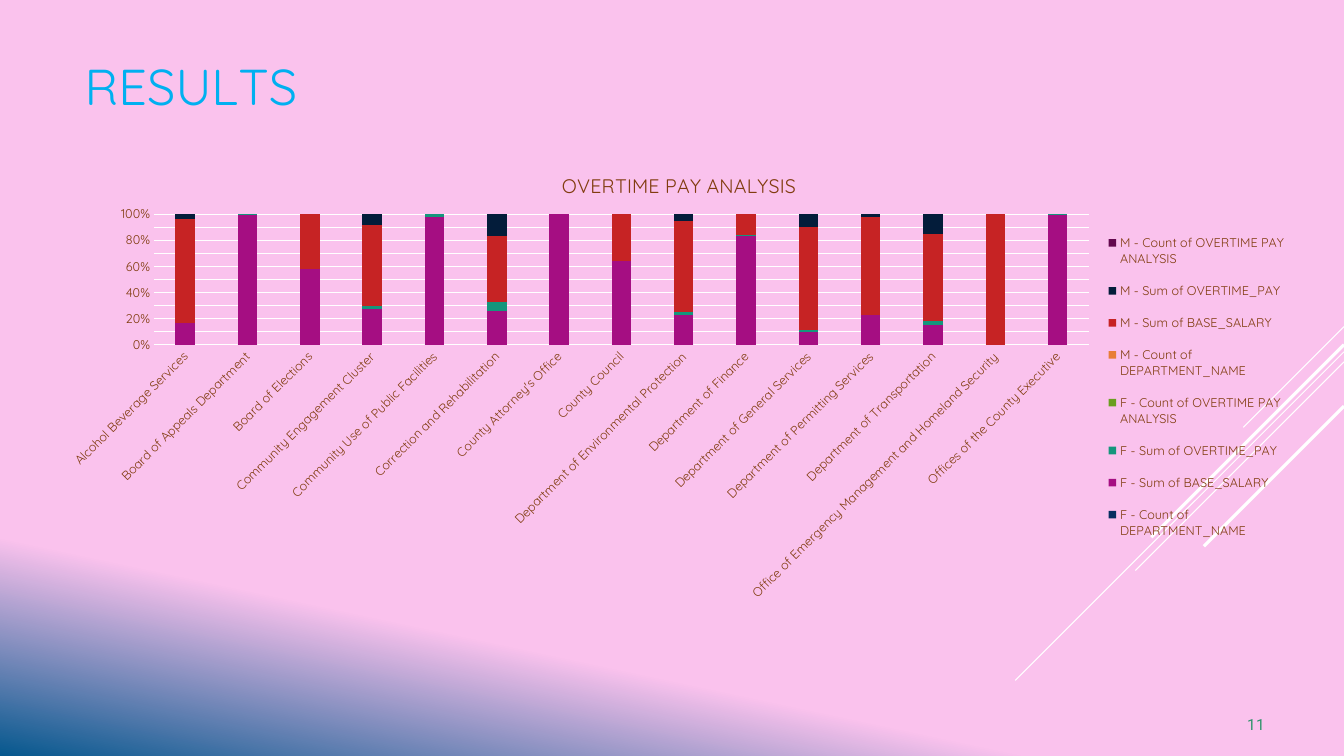
import dataclasses
import typing

import lxml.etree
import pptx
import pptx.chart.data
import pptx.dml.color
import pptx.enum.chart
import pptx.enum.shapes
import pptx.enum.text
import pptx.oxml.ns
import pptx.slide
import pptx.util

Inches = pptx.util.Inches
Pt = pptx.util.Pt
RGBColor = pptx.dml.color.RGBColor
qn = pptx.oxml.ns.qn

WHITE = RGBColor(0xFF, 0xFF, 0xFF)
PINK = RGBColor(0xFA, 0xC2, 0xED)
DEEP_BLUE = RGBColor(0x06, 0x58, 0x8E)
SKY_BLUE = RGBColor(0x00, 0xB0, 0xF0)
SEA_GREEN = RGBColor(0x2D, 0x93, 0x6B)
BROWN = RGBColor(0x81, 0x3C, 0x0F)
SLIDE_WIDTH = 13.33


@dataclasses.dataclass
class Ray:
    """A 45° line running down and left from the right slide edge."""
    top: float
    reach: float
    weight: float


@dataclasses.dataclass
class Label:
    box: tuple[float, float, float, float]
    runs: list[tuple[str, float]]  # text, letter spacing in points
    indent: float
    space_before: float
    anchor: pptx.enum.text.MSO_ANCHOR
    font: dict[str, typing.Any]


@dataclasses.dataclass
class PaySeries:
    name: str
    color: RGBColor
    percents: list[int | None]


RAYS = [
    Ray(3.24, 1.00, 0.75),
    Ray(3.49, 3.26, 0.75),
    Ray(3.59, 2.07, 0.75),
    Ray(3.42, 1.91, 2.25),
    Ray(4.03, 1.39, 2.25),
]

LABELS = [
    Label((0.83, 0.53, 2.67, 0.62),
          [("R", 0), ("E", -0.4), ("S", 0.1), ("U", -0.3), ("L", -4), ("TS", 0)],
          0.01, 1.1, pptx.enum.text.MSO_ANCHOR.MIDDLE,
          {"name": "Quicksand", "size": Pt(36)} | {"color": SKY_BLUE}),
    Label((12.33, 7.08, 0.25, 0.21), [("11", 0.1)],
          0.04, 0.6, pptx.enum.text.MSO_ANCHOR.TOP,
          {"name": "Roboto", "size": Pt(11), "color": SEA_GREEN}),
]

DEPARTMENTS = [
    "Alcohol Beverage Services", "Board of Appeals Department", "Board of Elections",
    "Community Engagement Cluster", "Community Use of Public Facilities",
    "Correction and Rehabilitation", "County Attorney's Office", "County Council",
    "Department of Environmental Protection", "Department of Finance",
    "Department of General Services", "Department of Permitting Services",
    "Department of Transportation",
    "Office of Emergency Management and Homeland Security",
    "Offices of the County Executive",
]

F_COUNTS = [0] * 13 + [None, 0]
M_COUNTS = [0, None, 0, 0, None, 0, None] + [0] * 7 + [None]
PAY_SERIES = [
    PaySeries("F - Count of DEPARTMENT_NAME", RGBColor(0x05, 0x2F, 0x61), F_COUNTS),
    PaySeries("F - Sum of BASE_SALARY", RGBColor(0xA5, 0x0E, 0x82),
              [17, 99, 58, 27, 98, 26, 100, 64, 23, 83, 10, 23, 15, None, 99]),
    PaySeries("F - Sum of OVERTIME_PAY", RGBColor(0x14, 0x96, 0x7C),
              [0, 1, 0, 2, 2, 7, 0, 0, 2, 1, 1, 0, 3, None, 1]),
    PaySeries("F - Count of OVERTIME PAY ANALYSIS", RGBColor(0x6A, 0x9E, 0x1F), F_COUNTS),
    PaySeries("M - Count of DEPARTMENT_NAME", RGBColor(0xE8, 0x7D, 0x37), M_COUNTS),
    PaySeries("M - Sum of BASE_SALARY", RGBColor(0xC6, 0x23, 0x24),
              [79, None, 42, 62, None, 51, None, 36, 70, 16, 80, 76, 67, 100, None]),
    PaySeries("M - Sum of OVERTIME_PAY", RGBColor(0x03, 0x1C, 0x3A),
              [4, None, 0, 8, None, 17, None, 0, 5, 0, 10, 2, 15, 0, None]),
    PaySeries("M - Count of OVERTIME PAY ANALYSIS", RGBColor(0x63, 0x08, 0x4E), M_COUNTS),
]


def set_font(font: typing.Any, values: dict[str, typing.Any]) -> None:
    for attribute, value in values.items():
        if attribute == "color":
            font.color.rgb = value
        else:
            setattr(font, attribute, value)


def set_line(line: typing.Any, weight: float) -> None:
    line.color.rgb = WHITE
    line.width = Pt(weight)


def paint_background(slide: pptx.slide.Slide) -> None:
    fill = slide.background.fill
    fill.gradient()
    fill.gradient_angle = 360 - 102
    for stop, position, color in zip(fill.gradient_stops, (0.79, 1), (PINK, DEEP_BLUE)):
        stop.position = position
        stop.color.rgb = color


def draw_ray(slide: pptx.slide.Slide, ray: Ray) -> None:
    line = slide.shapes.add_connector(
        pptx.enum.shapes.MSO_CONNECTOR.STRAIGHT,
        Inches(SLIDE_WIDTH), Inches(ray.top),
        Inches(SLIDE_WIDTH - ray.reach), Inches(ray.top + ray.reach))
    set_line(line.line, ray.weight)
    lxml.etree.SubElement(line._element.spPr, qn("a:effectLst"))


def draw_label(slide: pptx.slide.Slide, label: Label) -> None:
    frame = slide.shapes.add_textbox(*map(Inches, label.box)).text_frame
    frame_format = {
        "word_wrap": True, "vertical_anchor": label.anchor,
        "auto_size": pptx.enum.text.MSO_AUTO_SIZE.SHAPE_TO_FIT_TEXT,
        "margin_left": 0, "margin_top": Inches(0.01),
        "margin_right": 0, "margin_bottom": 0,
    }
    for attribute, value in frame_format.items():
        setattr(frame, attribute, value)
    paragraph = frame.paragraphs[0]
    paragraph.space_before = Pt(label.space_before)
    paragraph._p.get_or_add_pPr().set("marL", str(Inches(label.indent)))
    for text, spacing in label.runs:
        run = paragraph.add_run()
        run.text = text
        set_font(run.font, label.font)
        run._r.get_or_add_rPr().set("spc", str(round(spacing * 100)))


def place(element: typing.Any, index: int, inner: bool = False, **fractions: float) -> None:
    """Give a chart part a fixed position, in fractions of the chart area."""
    for automatic in element.findall(qn("c:layout")):
        element.remove(automatic)
    layout = lxml.etree.Element(qn("c:layout"))
    manual = lxml.etree.SubElement(layout, qn("c:manualLayout"))
    settings = {"layoutTarget": "inner"} if inner else {}
    settings |= {"xMode": "edge", "yMode": "edge"} | fractions
    for tag, value in settings.items():
        lxml.etree.SubElement(manual, qn(f"c:{tag}")).set("val", str(value))
    element.insert(index, layout)


def draw_pay_chart(slide: pptx.slide.Slide) -> None:
    data = pptx.chart.data.CategoryChartData(number_format="0")
    data.categories = DEPARTMENTS
    for series in PAY_SERIES:
        data.add_series(series.name, series.percents)
    chart = slide.shapes.add_chart(
        pptx.enum.chart.XL_CHART_TYPE.COLUMN_STACKED_100,
        Inches(0.4), Inches(1.43), Inches(12.53), Inches(4.63), data).chart
    small = {"name": "Quicksand", "size": Pt(9), "color": BROWN}
    set_font(chart.font, small)

    chart.has_title = True
    title = chart.chart_title
    title.text_frame.text = "OVERTIME PAY ANALYSIS"
    set_font(title.text_frame.paragraphs[0].runs[0].font,
             small | {"size": Pt(14), "bold": False})
    place(title._element, 1, x=0.41, y=0.05)

    plot = chart.plots[0]
    plot.gap_width, plot.overlap, plot.vary_by_categories = 219, 100, False
    for drawn, series in zip(plot.series, PAY_SERIES):
        drawn.format.fill.solid()
        drawn.format.fill.fore_color.rgb = series.color
    place(chart._chartSpace.chart.plotArea, 0, inner=True, x=0.09, y=0.15, w=0.74, h=0.28)

    for axis in (chart.category_axis, chart.value_axis):
        axis.major_tick_mark = pptx.enum.chart.XL_TICK_MARK.NONE
        axis.minor_tick_mark = pptx.enum.chart.XL_TICK_MARK.NONE
        set_font(axis.tick_labels.font, small)
    set_line(chart.category_axis.format.line, 0.75)
    chart.category_axis._element.txPr.bodyPr.set("rot", str(-45 * 60000))
    percent = chart.value_axis
    percent.minimum_scale, percent.maximum_scale, percent.major_unit = 0, 1, 0.1
    percent.tick_labels.number_format = "0%"
    percent.tick_labels.number_format_is_linked = False
    percent.format.line.fill.background()
    percent.has_major_gridlines = True
    set_line(percent.major_gridlines.format.line, 0.75)

    chart.has_legend = True
    chart.legend.position = pptx.enum.chart.XL_LEGEND_POSITION.RIGHT
    chart.legend.include_in_layout = False
    set_font(chart.legend.font, small)
    place(chart.legend._element, 1, x=0.84, y=0.16, w=0.15, h=0.72)


def main() -> None:
    deck = pptx.Presentation()
    deck.slide_width, deck.slide_height = Inches(SLIDE_WIDTH), Inches(7.5)
    slide = deck.slides.add_slide(deck.slide_layouts[6])
    paint_background(slide)
    for ray in RAYS:
        draw_ray(slide, ray)
    for label in LABELS:
        draw_label(slide, label)
    draw_pay_chart(slide)
    deck.save("out.pptx")


if __name__ == "__main__":
    main()
